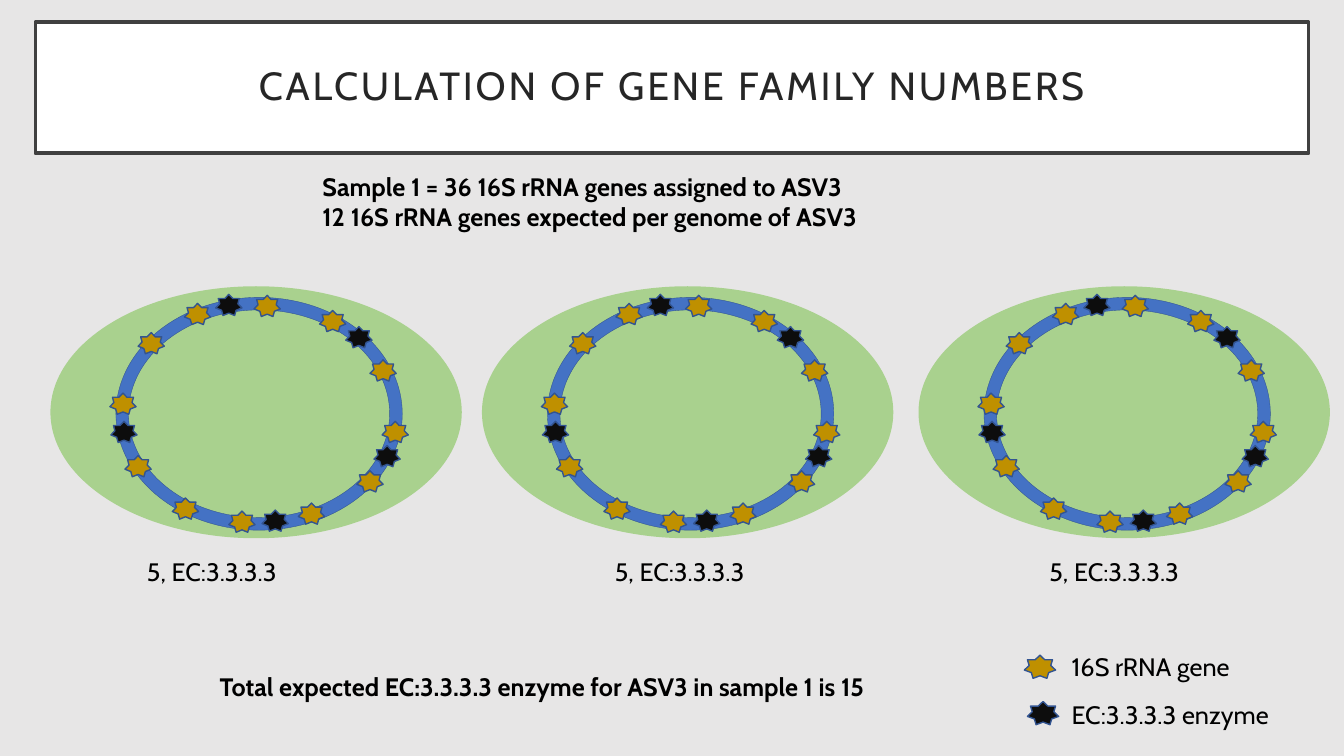
from pptx import Presentation
from pptx.dml.color import RGBColor
from pptx.enum.shapes import MSO_SHAPE
from pptx.enum.text import MSO_ANCHOR, MSO_AUTO_SIZE, PP_ALIGN
from pptx.util import Inches, Pt

ELLIPSE, DONUT, STAR = MSO_SHAPE.OVAL, MSO_SHAPE.DONUT, MSO_SHAPE.STAR_7_POINT
MIDDLE, CENTER = MSO_ANCHOR.MIDDLE, PP_ALIGN.CENTER
NO_FIT, GROW = MSO_AUTO_SIZE.NONE, MSO_AUTO_SIZE.SHAPE_TO_FIT_TEXT

COLORS = {
    "background": "E7E6E6", "panel": "FFFFFF", "frame": "404040", "heading": "262626",
    "text": "000000", "cell": "A9D18E", "genome": "4472C4", "outline": "325491",
    "rrna": "BF9000", "enzyme": "0D0D0D",
}
FONT = "Cabin"
CELL_TOP = 2.84
CELLS = [(0.5, 1.36), (4.78, 6), (9.11, 10.31)]
GENE_OFFSETS = {
    "rrna": [(2.02, 0.09), (3.17, 0.73), (3.04, 1.83), (1.33, 0.17), (0.87, 0.46),
             (2.67, 0.24), (3.29, 1.34), (2.46, 2.15), (1.77, 2.23), (1.21, 2.1),
             (0.74, 1.68), (0.59, 1.06)],
    "enzyme": [(0.6, 1.34), (1.64, 0.08), (2.93, 0.4), (2.1, 2.22), (3.21, 1.58)],
}
LEGEND = [
    ("rrna", 10.16, 6.5, "16S rRNA gene", 6.41),
    ("enzyme", 10.19, 6.96, "EC:3.3.3.3 enzyme", 6.89),
]


class GeneSlide:
    """Draws styled elements on the current slide."""

    def __init__(self, presentation):
        self.slide = presentation.slides.add_slide(presentation.slide_layouts[5])
        background = self.slide.background.fill
        background.solid()
        background.fore_color.rgb = self.color("background")

    def color(self, role):
        return RGBColor.from_string(COLORS[role])

    def paint(self, shape, fill, line=None, weight=1):
        shape.fill.solid()
        shape.fill.fore_color.rgb = self.color(fill)
        if line:
            shape.line.color.rgb = self.color(line)
            shape.line.width = Pt(weight)
        else:
            shape.line.fill.background()

    def add_words(self, paragraph, words, size=18, color="text", bold=False):
        run = paragraph.add_run()
        run.text = words
        run.font.name = FONT
        run.font.size = Pt(size)
        run.font.bold = bold
        run.font.color.rgb = self.color(color)
        return run

    def title(self, words):
        heading = self.slide.shapes.title
        heading.left, heading.top = Inches(0.35), Inches(0.22)
        heading.width, heading.height = Inches(12.63), Inches(1.3)
        self.paint(heading, "panel", "frame", 2.5)
        frame = heading.text_frame
        frame.word_wrap = True
        frame.auto_size = NO_FIT
        frame.vertical_anchor = MIDDLE
        frame.margin_left = frame.margin_right = Inches(0.2)
        frame.margin_top = frame.margin_bottom = Inches(0.2)
        paragraph = frame.paragraphs[0]
        paragraph.alignment = CENTER
        paragraph.line_spacing = 0.9
        run = self.add_words(paragraph, words, 28, "heading")
        run._r.get_or_add_rPr().set("spc", "200")

    def text(self, left, top, width, height, lines, bold=False):
        box = self.slide.shapes.add_textbox(
            Inches(left), Inches(top), Inches(width), Inches(height))
        frame = box.text_frame
        frame.word_wrap = True
        frame.auto_size = GROW
        for index, words in enumerate(lines):
            paragraph = frame.add_paragraph() if index else frame.paragraphs[0]
            self.add_words(paragraph, words, bold=bold)

    def shape(self, kind, left, top, width, height, fill, line=None, weight=1):
        shape = self.slide.shapes.add_shape(
            kind, Inches(left), Inches(top), Inches(width), Inches(height))
        shape.shadow.inherit = False
        self.paint(shape, fill, line, weight)
        return shape

    def gene(self, kind, left, top, width=0.26, height=0.21):
        self.shape(STAR, left, top, width, height, kind, "outline")

    def cell(self, left, caption_left):
        self.shape(ELLIPSE, left, CELL_TOP, 4.08, 2.5, "cell")
        genome = self.shape(DONUT, left + 0.65, CELL_TOP + 0.11, 2.84, 2.31,
                            "genome", "outline", 0.25)
        genome.adjustments[0] = 0.054
        for kind, offsets in GENE_OFFSETS.items():
            for across, down in offsets:
                self.gene(kind, left + across, CELL_TOP + down)
        self.text(caption_left, 5.47, 2.3, 0.4, ["5, EC:3.3.3.3"])


def main():
    presentation = Presentation()
    presentation.slide_width, presentation.slide_height = Inches(13.33), Inches(7.5)
    slide = GeneSlide(presentation)
    slide.title("CALCULATION OF GENE FAMILY NUMBERS")
    slide.text(3.1, 1.65, 7.17, 0.71, [
        "Sample 1 = 36 16S rRNA genes assigned to ASV3",
        "12 16S rRNA genes expected per genome of ASV3",
    ], bold=True)
    for left, caption_left in CELLS:
        slide.cell(left, caption_left)
    slide.text(2.08, 6.61, 8.08, 0.4,
               ["Total expected EC:3.3.3.3 enzyme for ASV3 in sample 1 is 15"], bold=True)
    for kind, left, top, label, label_top in LEGEND:
        slide.gene(kind, left, top, 0.31, 0.23)
        slide.text(10.53, label_top, 2.5, 0.4, [label])
    presentation.save("out.pptx")


if __name__ == "__main__":
    main()
